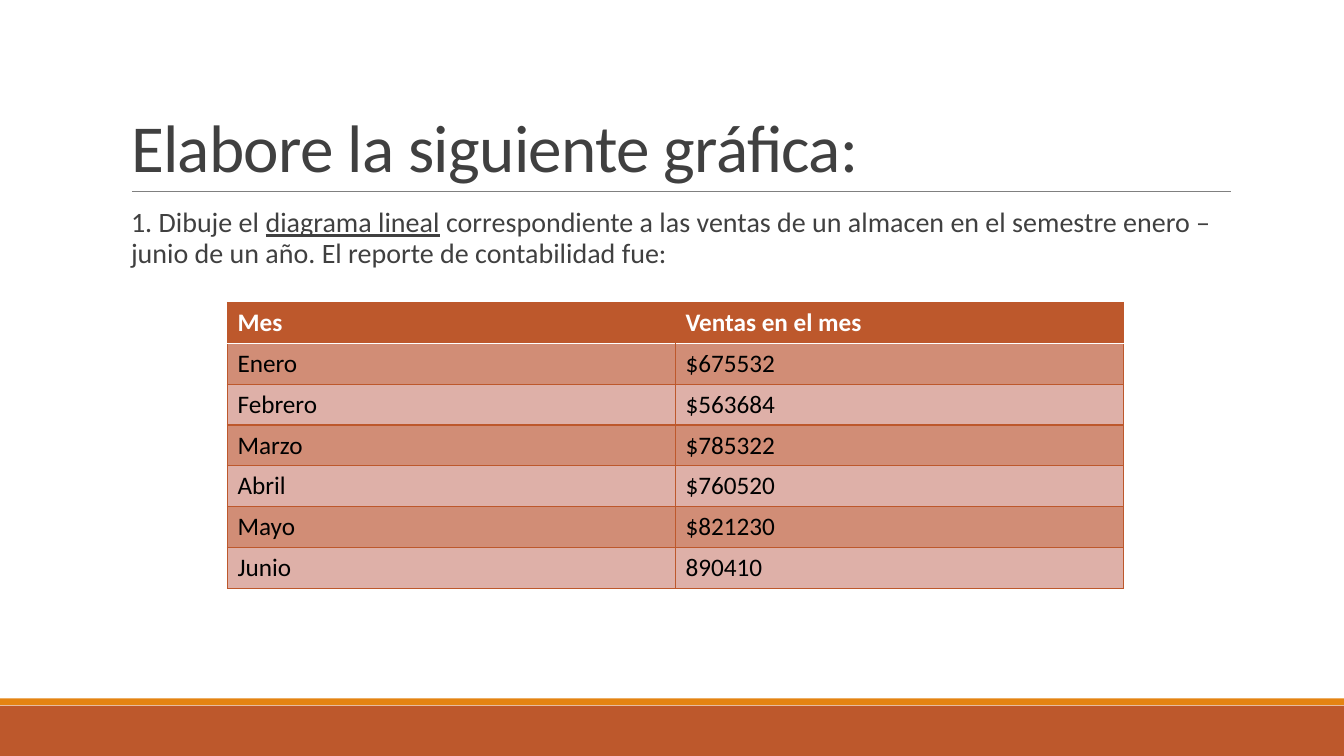
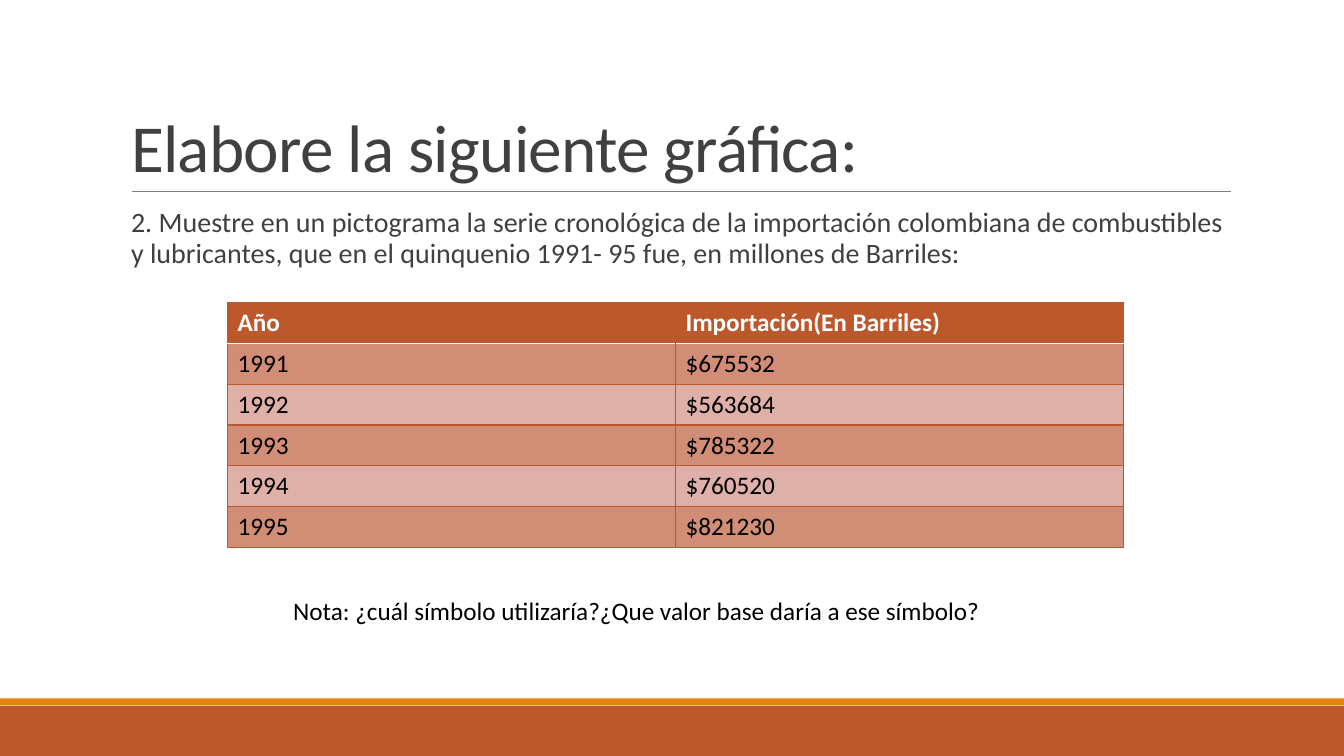
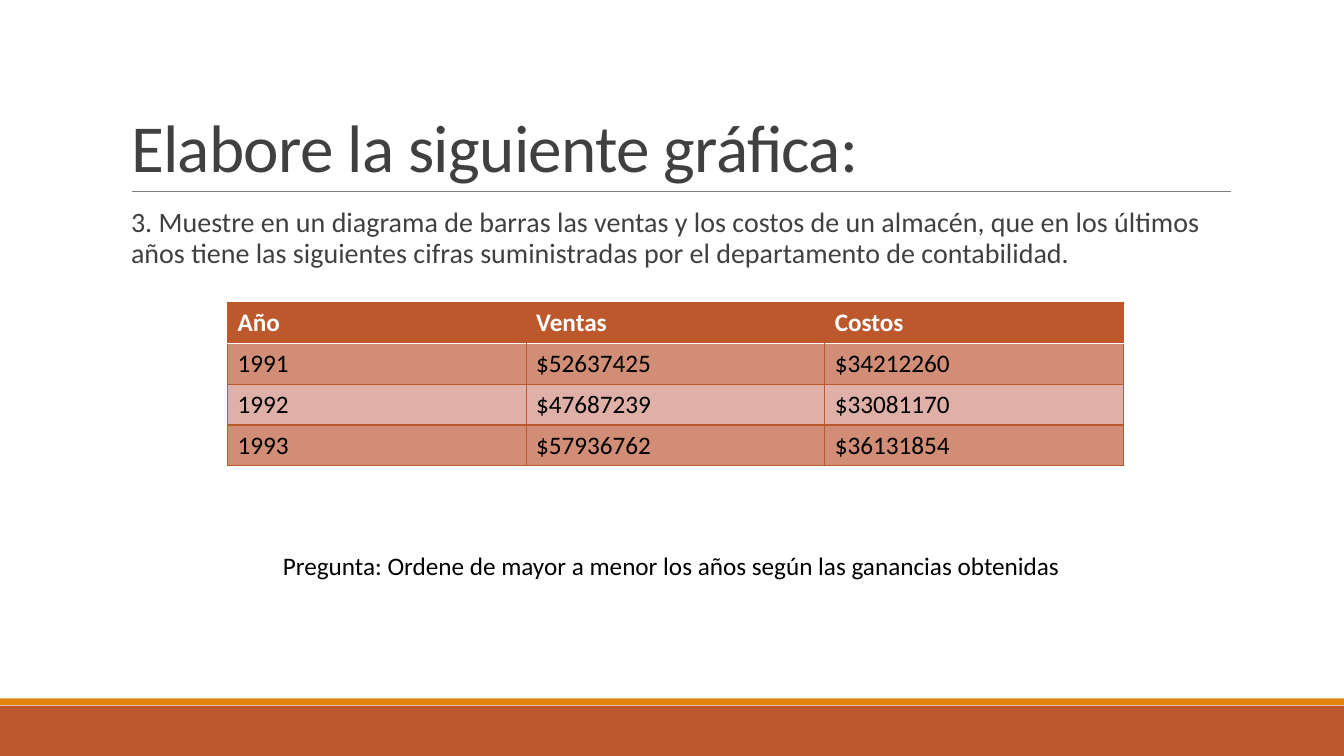
from dataclasses import dataclass

from lxml.etree import SubElement
from pptx import Presentation
from pptx.dml.color import RGBColor as Rgb
from pptx.enum.shapes import MSO_CONNECTOR as Connector, MSO_SHAPE as Preset
from pptx.enum.text import MSO_ANCHOR as Anchor, MSO_AUTO_SIZE as AutoSize, PP_ALIGN as Align
from pptx.oxml.ns import qn
from pptx.util import Pt


@dataclass(frozen=True)
class Theme:
    """Colours, font and type sizes of the deck."""
    font: str = "Calibri"
    rust: str = "BD582C"
    orange: str = "E48312"
    rule: str = "808080"
    ink: str = "404040"
    black: str = "000000"
    white: str = "FFFFFF"
    dark_row: str = "D18D76"
    light_row: str = "DEB0A8"
    title_size: float = 48
    prompt_size: float = 20
    text_size: float = 18


THEME = Theme()
WIDTH, HEIGHT = 960, 540
HEADING = "Elabore la siguiente gráfica:"
TABLE_LEFT, TABLE_TOP, TABLE_WIDTH, ROW_HEIGHT = 162.5, 216, 640, 29.2


@dataclass(frozen=True)
class Exercise:
    """Content of one slide; prompt parts are (text, underlined) pairs."""
    prompt: tuple
    rows: tuple
    note: str = ""
    note_box: tuple = ()


EXERCISES = (
    Exercise(
        prompt=(
            ("1. Dibuje el ", False),
            ("diagrama lineal", True),
            (" correspondiente a las ventas de un almacen en el semestre "
             "enero – junio de un año. El reporte de contabilidad fue: ", False),
        ),
        rows=(
            ("Mes ", "Ventas en el mes"),
            ("Enero", "$675532"),
            ("Febrero", "$563684"),
            ("Marzo", "$785322"),
            ("Abril", "$760520"),
            ("Mayo", "$821230"),
            ("Junio", "890410"),
        ),
    ),
    Exercise(
        prompt=(
            ("2. Muestre en un pictograma la serie cronológica de la importación "
             "colombiana de combustibles y lubricantes, que en el quinquenio "
             "1991- 95 fue, en millones de Barriles:", False),
        ),
        rows=(
            ("Año", "Importación(En Barriles)"),
            ("1991", "$675532"),
            ("1992", "$563684"),
            ("1993", "$785322"),
            ("1994", "$760520"),
            ("1995", "$821230"),
        ),
        note="Nota: ¿cuál símbolo utilizaría?¿Que valor base daría a ese símbolo?",
        note_box=(202.3, 421.5, 520, 29),
    ),
    Exercise(
        prompt=(
            ("3. Muestre en un diagrama de barras las ventas y los costos de un "
             "almacén, que en los últimos años tiene las siguientes cifras "
             "suministradas por el departamento de contabilidad.", False),
        ),
        rows=(
            ("Año", "Ventas", "Costos"),
            ("1991", "$52637425", "$34212260"),
            ("1992", "$47687239", "$33081170"),
            ("1993", "$57936762", "$36131854"),
        ),
        note="Pregunta: Ordene de mayor a menor los años según las ganancias obtenidas",
        note_box=(195, 389.2, 572, 29),
    ),
)


def set_font(paragraph, size, colour, bold=False):
    """Format a whole paragraph."""
    font = paragraph.font
    font.name, font.size, font.bold = THEME.font, Pt(size), bold
    font.color.rgb = Rgb.from_string(colour)


def place(shape, left, top, width, height):
    """Move and size a shape, in points."""
    shape.left, shape.top = Pt(left), Pt(top)
    shape.width, shape.height = Pt(width), Pt(height)


def add_band(slide, top, height, colour):
    """Draw a full-width band."""
    band = slide.shapes.add_shape(Preset.RECTANGLE, 0, Pt(top), Pt(WIDTH), Pt(height))
    band.shadow.inherit = False
    band.fill.solid()
    band.fill.fore_color.rgb = Rgb.from_string(colour)
    band.line.fill.background()
    return band


def add_rule(slide, left, right, y):
    """Draw the thin line under the title."""
    rule = slide.shapes.add_connector(Connector.STRAIGHT, Pt(left), Pt(y), Pt(right), Pt(y))
    rule.line.color.rgb = Rgb.from_string(THEME.rule)
    rule.line.width = Pt(0.5)
    SubElement(rule.element.spPr, qn("a:effectLst"))
    return rule


def arrange_layout(layout):
    """Place the layout's title and body and drop its footer fields."""
    title, body, *footers = layout.placeholders
    place(title, 86.4, 22.3, 792, 114.5)
    place(body, 86.4, 145.4, 792, 316.8)
    for footer in footers:
        footer.element.getparent().remove(footer.element)


def move_decor_to_layout(slide, layout):
    """Draw the bands and rule, then hand them to the layout all slides use."""
    decor = (
        add_band(slide, 504, 36, THEME.rust),
        add_band(slide, 498.8, 5, THEME.orange),
        add_rule(slide, 94.3, 879.1, 136.8),
    )
    for part in decor:
        layout.shapes.element.append(part.element)


def fill_title(title):
    """Write the heading in the title placeholder."""
    frame = title.text_frame
    frame.text = HEADING
    frame.auto_size, frame.vertical_anchor = AutoSize.NONE, Anchor.BOTTOM
    heading = frame.paragraphs[0]
    heading.alignment, heading.line_spacing = Align.LEFT, 0.85
    set_font(heading, THEME.title_size, THEME.ink)
    heading._p.pPr.find(qn("a:defRPr")).set("spc", "-50")


def set_blank_bullet(paragraph, indent):
    """Give a paragraph a hanging indent with a blank bullet."""
    properties = paragraph._p.get_or_add_pPr()
    properties.set("marL", str(Pt(indent)))
    properties.set("indent", str(-Pt(indent)))
    colour = SubElement(properties, qn("a:buClr"))
    SubElement(colour, qn("a:srgbClr"), val=THEME.orange)
    SubElement(properties, qn("a:buChar"), char=" ")


def fill_prompt(body, parts):
    """Write the exercise text in the body placeholder."""
    frame = body.text_frame
    frame.auto_size = AutoSize.NONE
    frame.margin_left = frame.margin_right = 0
    prompt = frame.paragraphs[0]
    prompt.line_spacing = 0.9
    prompt.space_before, prompt.space_after = Pt(12), Pt(2)
    set_blank_bullet(prompt, 7.2)
    set_font(prompt, THEME.prompt_size, THEME.ink)
    for text, underlined in parts:
        run = prompt.add_run()
        run.text = text
        if underlined:
            run.font.underline = True


def set_border(cell, side, colour, width=1):
    """Set one cell border (side L, R, T or B); no colour means no line."""
    line = SubElement(cell._tc.get_or_add_tcPr(), qn(f"a:ln{side}"), w=str(Pt(width)))
    if colour:
        SubElement(SubElement(line, qn("a:solidFill")), qn("a:srgbClr"), val=colour)
    else:
        SubElement(line, qn("a:noFill"))


def style_cell(cell, row, is_first, is_last):
    """Format a cell by its row and its place in that row."""
    is_header = row == 0
    set_border(cell, "L", THEME.rust if is_first or not is_header else None)
    set_border(cell, "R", THEME.rust if is_last or not is_header else None)
    if row == 1:
        set_border(cell, "T", THEME.white, 1.25)
    else:
        set_border(cell, "T", THEME.rust)
    if is_header:
        set_border(cell, "B", THEME.white, 1.25)
        background, ink = THEME.rust, THEME.white
    else:
        set_border(cell, "B", THEME.rust)
        background, ink = THEME.dark_row if row % 2 else THEME.light_row, THEME.black
    cell.fill.solid()
    cell.fill.fore_color.rgb = Rgb.from_string(background)
    set_font(cell.text_frame.paragraphs[0], THEME.text_size, ink, bold=is_header)


def add_data_table(slide, rows):
    """Add the figures as a table with equal columns."""
    last = len(rows[0]) - 1
    figures = slide.shapes.add_table(
        len(rows), last + 1, Pt(TABLE_LEFT), Pt(TABLE_TOP),
        Pt(TABLE_WIDTH), Pt(ROW_HEIGHT * len(rows))).table
    figures.horz_banding = False
    for row, values in enumerate(rows):
        for column, value in enumerate(values):
            cell = figures.cell(row, column)
            cell.text = value
            style_cell(cell, row, column == 0, column == last)


def add_note(slide, text, box):
    """Add the one-line remark below the table."""
    frame = slide.shapes.add_textbox(*map(Pt, box)).text_frame
    frame.text = text
    frame.word_wrap, frame.auto_size = False, AutoSize.SHAPE_TO_FIT_TEXT
    set_font(frame.paragraphs[0], THEME.text_size, THEME.black)


def add_exercise(deck, layout, exercise):
    """Add one exercise slide."""
    slide = deck.slides.add_slide(layout)
    fill_title(slide.shapes.title)
    fill_prompt(slide.placeholders[1], exercise.prompt)
    add_data_table(slide, exercise.rows)
    if exercise.note:
        add_note(slide, exercise.note, exercise.note_box)
    return slide


def main():
    """Build and save the deck."""
    deck = Presentation()
    deck.slide_width, deck.slide_height = Pt(WIDTH), Pt(HEIGHT)
    layout = deck.slide_layouts.get_by_name("Title and Content")
    arrange_layout(layout)
    slides = [add_exercise(deck, layout, exercise) for exercise in EXERCISES]
    move_decor_to_layout(slides[0], layout)
    deck.save("out.pptx")


main()
